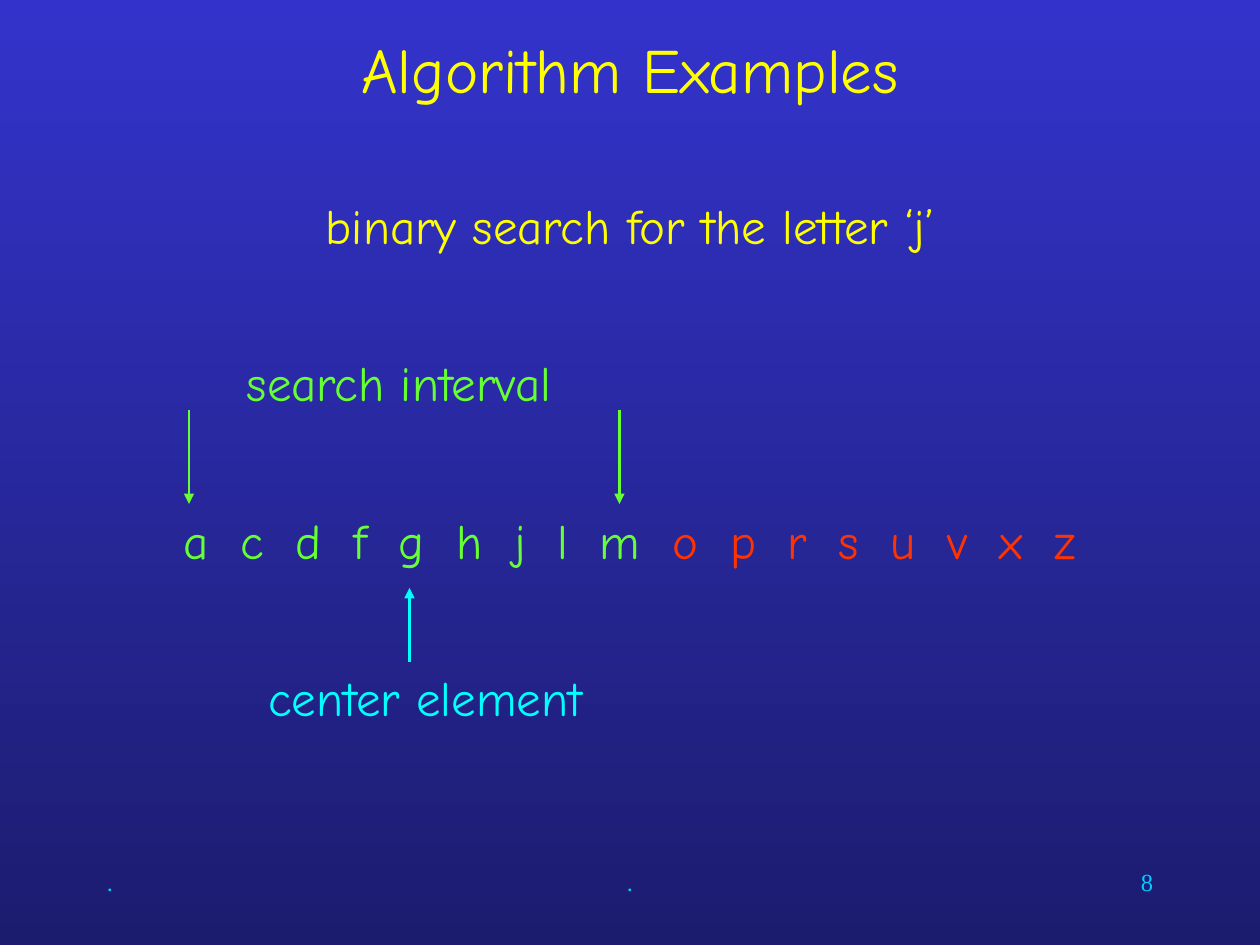
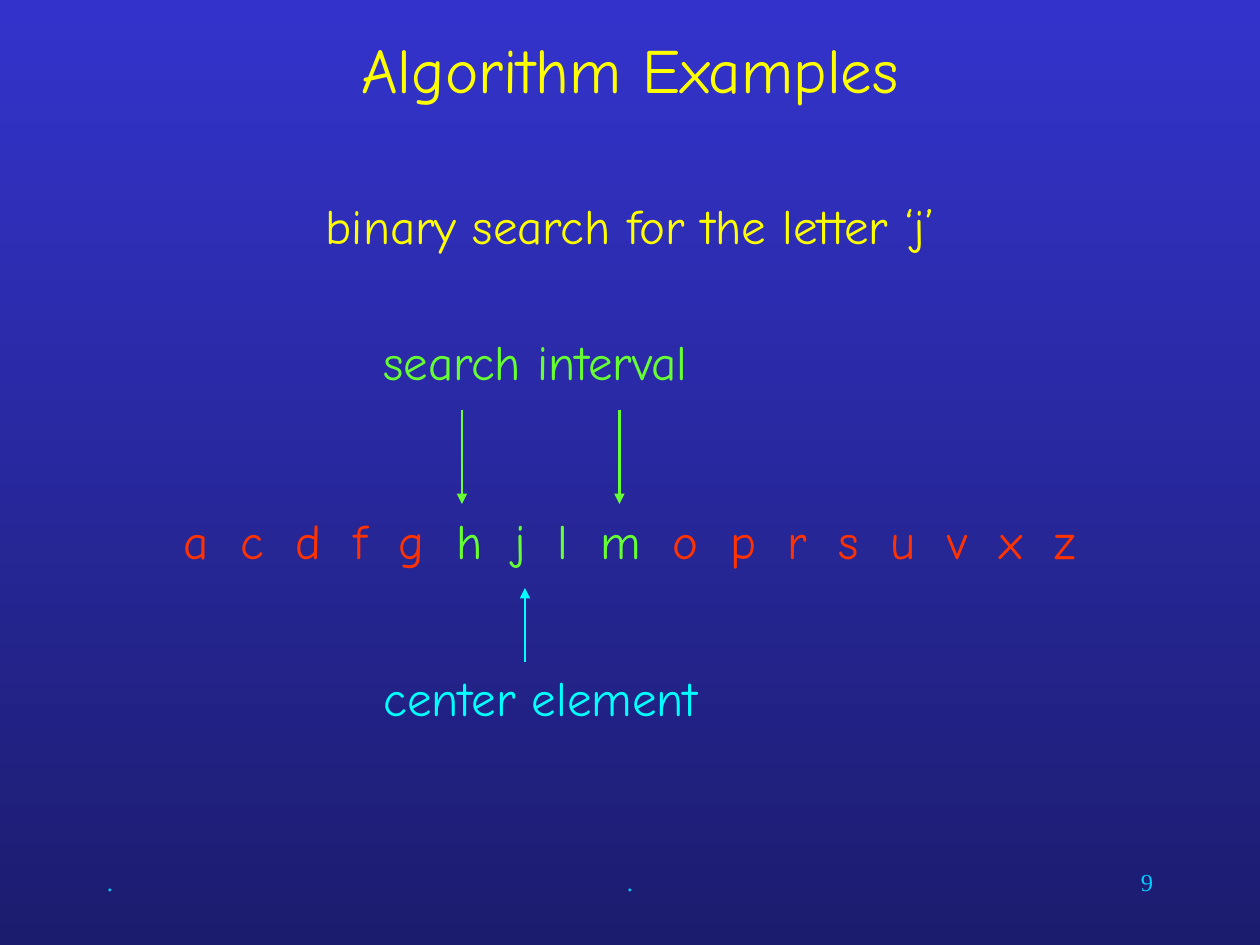
from lxml import etree
from pptx import Presentation, util as u
from pptx.dml import color as dml
from pptx.enum import shapes, text
from pptx.oxml import ns

COLS, ROWS = 120, 90
HUES = {"title": "FFFF00", "live": "66FF33", "dead": "FF3300",
        "mid": "00FFFF", "foot": "00CCFF"}
BACK = ("3333CC", "1C1C6F")
HAND, SERIF = "Comic Neue", "Times New Roman"
LEFT, MID, RIGHT = text.PP_ALIGN.LEFT, text.PP_ALIGN.CENTER, text.PP_ALIGN.RIGHT
KEYS = "acdfghjlmoprsuvxz"
GAP = 440


def rgb(code):
    return dml.RGBColor.from_string(code)


def apply(item, vals):
    for name, val in vals.items():
        setattr(item, name, val)


class Deck:
    def __init__(self):
        self.prs = Presentation()
        apply(self.prs, {"slide_width": u.Inches(10), "slide_height": u.Inches(7.5)})
        fill = self.prs.slide_master.background.fill
        fill.gradient()
        fill.gradient_angle = 270
        for stop, code in zip(fill.gradient_stops, BACK):
            stop.color.rgb = rgb(code)

    def grid(self, col, row):
        return (round(self.prs.slide_width * col / COLS),
                round(self.prs.slide_height * row / ROWS))

    def letter(self, frame, runs, size, font, align):
        frame.word_wrap = True
        para = frame.paragraphs[0]
        para.alignment = align
        for words, hue, gap in runs:
            run = para.add_run()
            run.text = words
            apply(run.font, {"size": u.Pt(size), "name": font})
            run.font.color.rgb = rgb(HUES[hue])
            if gap:
                run.font._element.set("spc", str(gap))

    def page(self, title, num):
        self.slide = self.prs.slides.add_slide(self.prs.slide_layouts[5])
        head = self.slide.shapes.title
        left, top = self.grid(9, 2)
        wide, high = self.grid(102, 9)
        apply(head, {"left": left, "top": top, "width": wide, "height": high})
        head.text_frame.vertical_anchor = text.MSO_ANCHOR.MIDDLE
        self.letter(head.text_frame, [(title, "title", 0)], 36, HAND, MID)
        feet = ((9, 25, ".", LEFT), (34, 52, ".", MID), (86, 25, str(num), RIGHT))
        for col, span, words, align in feet:
            self.box(col, 82, span, [(words, "foot", 0)], 6, 14, SERIF, align)

    def box(self, col, row, span, runs, high=7, size=28, font=HAND, align=MID):
        box = self.slide.shapes.add_textbox(*self.grid(col, row), *self.grid(span, high))
        self.letter(box.text_frame, runs, size, font, align)

    def arrow(self, col, start, end, hue):
        line = self.slide.shapes.add_connector(
            shapes.MSO_CONNECTOR.STRAIGHT, *self.grid(col, start), *self.grid(col, end))
        line.line.width = u.Pt(1.5)
        line.line.color.rgb = rgb(HUES[hue])
        props = line._element.spPr
        etree.SubElement(props.find(ns.qn("a:ln")), ns.qn("a:tailEnd"), type="triangle")
        etree.SubElement(props, ns.qn("a:effectLst"))

    def keys(self, low, high):
        parts = ((KEYS[:low], "dead"), (KEYS[low:high], "live"), (KEYS[high:-1], "dead"))
        runs = [("".join(key + " " for key in part), hue, GAP)
                for part, hue in parts if part]
        self.box(11, 48, 98, runs + [(KEYS[-1], "dead", 0)])

    def step(self, num, low, ends, label, mid):
        self.page("Algorithm Examples", num)
        self.box(11, 18, 98, [("binary search for the letter ‘j’", "title", 0)])
        self.keys(low, 9)
        self.box(*label, 36, [("search interval", "live", 0)])
        for col in ends:
            self.arrow(col, 39, 48, "live")
        self.box(mid - 17, 63, 37, [("center element", "mid", 0)])
        self.arrow(mid, 63, 56, "mid")


def main():
    deck = Deck()
    deck.step(8, 0, (18, 59), (20, 33), 39)
    deck.step(9, 5, (44, 59), (33, 31), 50)
    deck.prs.save("out.pptx")


if __name__ == "__main__":
    main()
